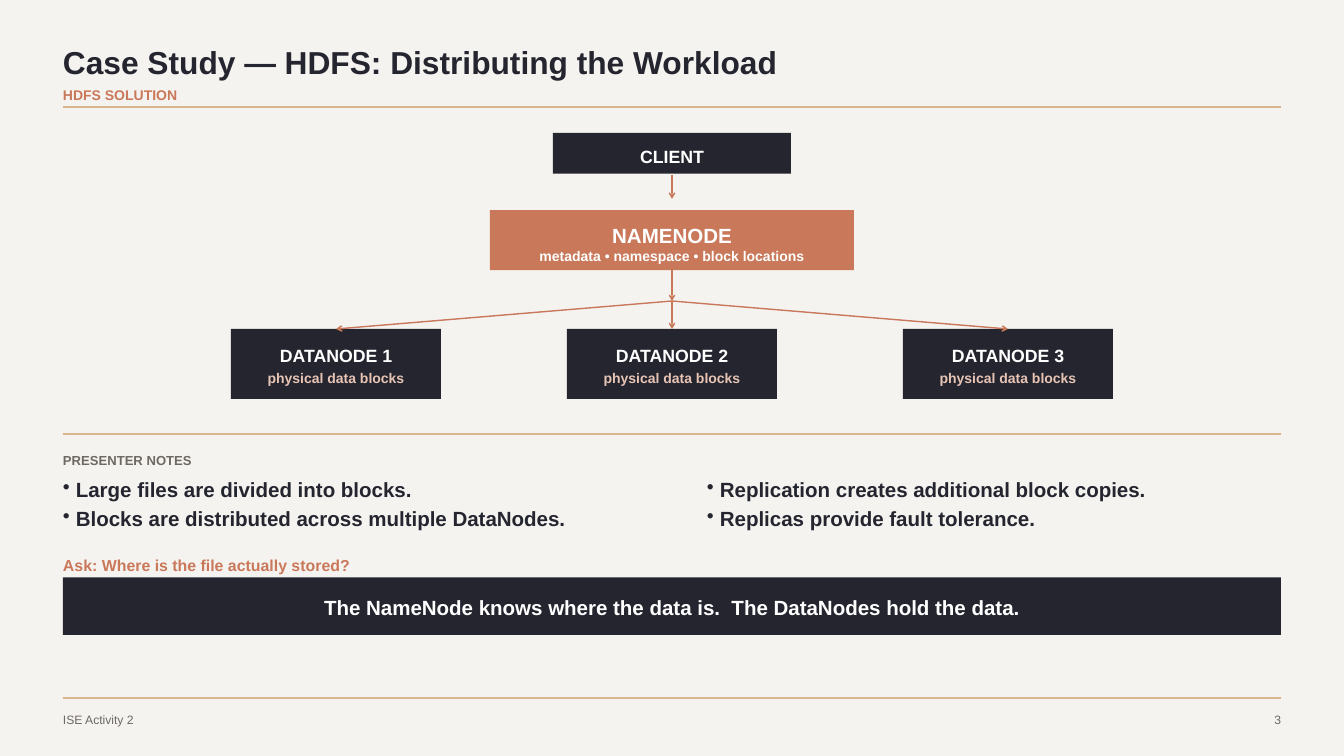
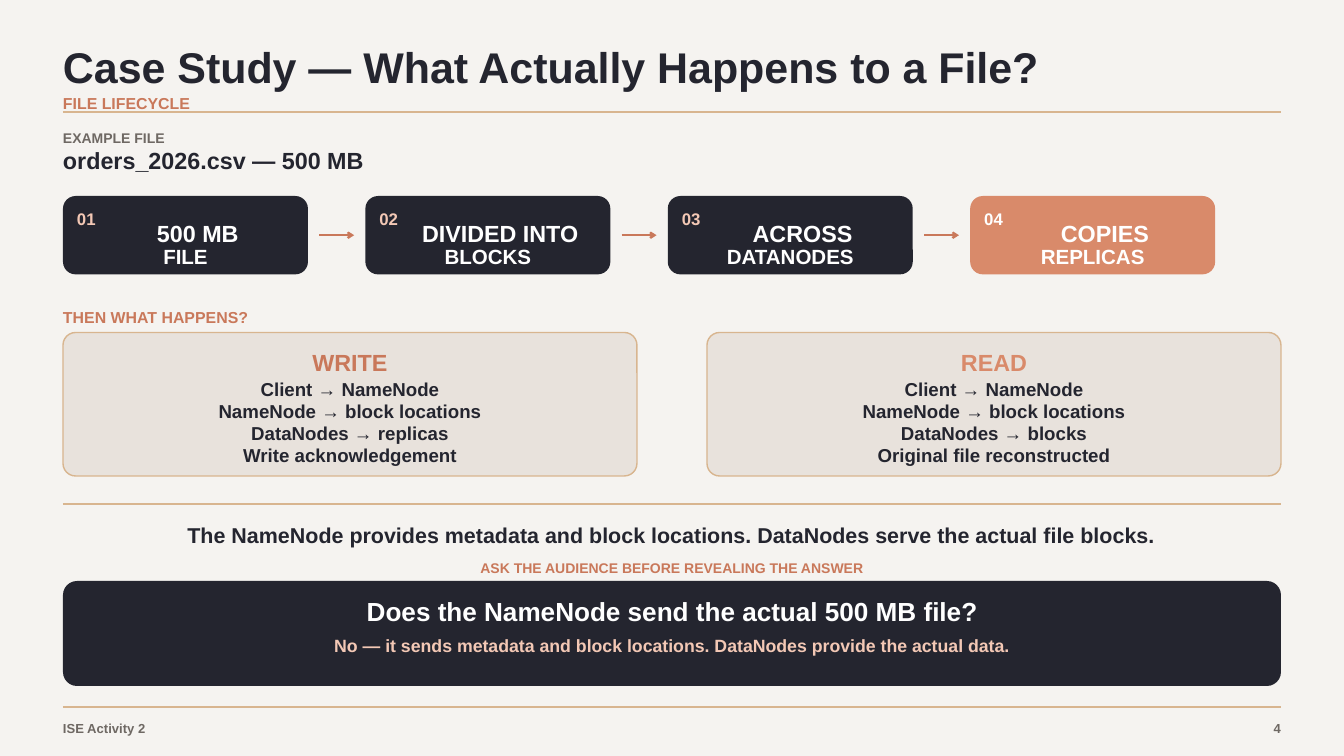
"""Build two case study slides on how HDFS stores a file."""
from dataclasses import dataclass

from lxml import etree
from pptx import Presentation
from pptx.dml.color import RGBColor
from pptx.enum import shapes, text
from pptx.oxml import ns
from pptx.util import Pt

INK, CLAY, CORAL, SAND = "24252F", "C9785A", "D98A6A", "D8B58F"
PAPER, PANEL, GREY, WHITE = "F5F3F0", "E8E2DC", "6E6863", "FFFFFF"
BLUSH, PEACH = "E8C4B5", "F3C8B5"
LEFT, WIDTH, RIGHT_COLUMN = 67.5, 1305, 757.5
RIGHT = LEFT + WIDTH
MIDDLE = LEFT + WIDTH / 2
BULLET_INDENT = 13.8
START, CENTRE, END = text.PP_ALIGN.LEFT, text.PP_ALIGN.CENTER, text.PP_ALIGN.RIGHT
TOP_SIDE, BOTTOM_SIDE = 0, 2


@dataclass
class Words:
    """Text of one style in one place."""
    wording: str
    left: float
    top: float
    width: float
    size: float
    colour: str = INK
    align: text.PP_ALIGN = START
    bold: bool = True
    bullets: bool = False


@dataclass
class Block:
    """A filled rectangle, rounded when it has a radius."""
    left: float
    top: float
    width: float
    height: float
    fill: str = INK
    radius: float = 0
    outline: str = ""


@dataclass
class Frame:
    """The heading and footer of one slide."""
    title: str
    title_top: float
    title_size: float
    section: str
    section_top: float
    section_size: float
    head_rule: float
    foot_rule: float
    foot_top: float
    foot_size: float
    foot_bold: bool
    number: str


@dataclass
class Step:
    """One stage of the file's life."""
    number: str
    head: str
    tail: str
    fill: str = INK
    number_colour: str = PEACH


@dataclass
class Operation:
    """The path of a write or a read."""
    left: float
    name: str
    colour: str
    stages: tuple[str, ...]


def rgb(colour: str) -> RGBColor:
    """Turn a hex string into a colour."""
    return RGBColor.from_string(colour)


def write(slide, words: Words) -> None:
    """Draw a text box, one paragraph for each line."""
    lines = words.wording.split("\n")
    box = slide.shapes.add_textbox(Pt(words.left), Pt(words.top), Pt(words.width),
                                   Pt(words.size * 1.34 * len(lines)))
    frame = box.text_frame
    frame.word_wrap = True
    frame.auto_size = text.MSO_AUTO_SIZE.SHAPE_TO_FIT_TEXT
    frame.margin_left = frame.margin_top = frame.margin_right = frame.margin_bottom = 0
    frame.text = words.wording
    for paragraph in frame.paragraphs:
        if words.bullets:
            add_bullet(paragraph)
        paragraph.alignment = words.align
        paragraph.line_spacing = Pt(words.size * 1.4)
        font = paragraph.font
        font.name, font.size, font.bold = "Arial", Pt(words.size), words.bold
        font.color.rgb = rgb(words.colour)


def add_bullet(paragraph) -> None:
    """Give a paragraph a round bullet and a hanging indent."""
    properties = paragraph._p.get_or_add_pPr()
    properties.set("marL", str(Pt(BULLET_INDENT)))
    properties.set("indent", str(-Pt(BULLET_INDENT)))
    etree.SubElement(properties, ns.qn("a:buChar"), char="•")


def draw(slide, block: Block):
    """Draw a block and return its shape."""
    kind = shapes.MSO_SHAPE.ROUNDED_RECTANGLE if block.radius else shapes.MSO_SHAPE.RECTANGLE
    shape = slide.shapes.add_shape(kind, Pt(block.left), Pt(block.top),
                                   Pt(block.width), Pt(block.height))
    shape.shadow.inherit = False
    shape.fill.solid()
    shape.fill.fore_color.rgb = rgb(block.fill)
    if block.radius:
        shape.adjustments[0] = block.radius / min(block.width, block.height)
    if block.outline:
        shape.line.color.rgb = rgb(block.outline)
        shape.line.width = Pt(1.5)
    else:
        shape.line.fill.background()
    return shape


def connect(slide, start: tuple[float, float], end: tuple[float, float],
            colour: str = CLAY, weight: float = 1.5, arrow: bool = True):
    """Draw a straight line, with an arrowhead at its end if wanted."""
    line = slide.shapes.add_connector(shapes.MSO_CONNECTOR.STRAIGHT,
                                      *(Pt(length) for length in (*start, *end)))
    line.line.color.rgb = rgb(colour)
    line.line.width = Pt(weight)
    if arrow:
        etree.SubElement(line.line._get_or_add_ln(), ns.qn("a:tailEnd"), type="arrow")
    etree.SubElement(line._element.spPr, ns.qn("a:effectLst"))
    return line


def rule(slide, top: float) -> None:
    """Draw a sand line across the content width."""
    connect(slide, (LEFT, top), (RIGHT, top), SAND, arrow=False)


def add_framed_slide(deck, frame: Frame):
    """Add a slide with its background, heading and footer."""
    slide = deck.slides.add_slide(deck.slide_layouts[6])
    slide.background.fill.solid()
    slide.background.fill.fore_color.rgb = rgb(PAPER)
    write(slide, Words(frame.title, LEFT, frame.title_top, 1237.5, frame.title_size))
    write(slide, Words(frame.section, LEFT, frame.section_top, 262.5, frame.section_size, CLAY))
    rule(slide, frame.head_rule)
    rule(slide, frame.foot_rule)
    write(slide, Words("ISE Activity 2", LEFT, frame.foot_top, 187.5, frame.foot_size,
                       GREY, bold=frame.foot_bold))
    write(slide, Words(frame.number, RIGHT - 30, frame.foot_top, 30, frame.foot_size,
                       GREY, END, frame.foot_bold))
    return slide


def build_workload(deck) -> None:
    """Build the slide on the NameNode and its DataNodes."""
    slide = add_framed_slide(deck, Frame(
        "Case Study — HDFS: Distributing the Workload", 39, 34, "HDFS SOLUTION", 89.25, 15,
        114.5, 748, 761, 13, False, "3"))

    draw(slide, Block(592.5, 142.5, 255, 43.5))
    write(slide, Words("CLIENT", 592.5, 152.5, 255, 19, WHITE, CENTRE))
    connect(slide, (MIDDLE, 187.5), (MIDDLE, 213))

    namenode = draw(slide, Block(525, 225, 390, 64.5, CLAY))
    write(slide, Words("NAMENODE", 525, 234, 390, 22, WHITE, CENTRE))
    write(slide, Words("metadata • namespace • block locations", 525, 262, 390, 15,
                       WHITE, CENTRE))
    fork = (MIDDLE, 322.5)
    connect(slide, (MIDDLE, 289.5), fork).begin_connect(namenode, BOTTOM_SIDE)

    for index in range(3):
        left, top, width = 247.5 + 360 * index, 352.5, 225
        datanode = draw(slide, Block(left, top, width, 75))
        write(slide, Words(f"DATANODE {index + 1}", left, 366, width, 19, WHITE, CENTRE))
        write(slide, Words("physical data blocks", left, 393, width, 15, BLUSH, CENTRE))
        connect(slide, fork, (left + width / 2, top)).end_connect(datanode, TOP_SIDE)

    rule(slide, 465)
    write(slide, Words("PRESENTER NOTES", LEFT, 481.5, 225, 14, GREY))
    points = {
        LEFT: "Large files are divided into blocks.\n"
              "Blocks are distributed across multiple DataNodes.",
        RIGHT_COLUMN: "Replication creates additional block copies.\n"
                      "Replicas provide fault tolerance.",
    }
    for left, wording in points.items():
        write(slide, Words(wording, left, 507, 570, 22, bullets=True))
    write(slide, Words("Ask: Where is the file actually stored?", LEFT, 592, 525, 17, CLAY))
    draw(slide, Block(LEFT, 618.75, WIDTH, 61.5))
    write(slide, Words("The NameNode knows where the data is.  The DataNodes hold the data.",
                       91.5, 633, 1257, 22, WHITE, CENTRE))


def build_lifecycle(deck) -> None:
    """Build the slide on the life of one file."""
    slide = add_framed_slide(deck, Frame(
        "Case Study — What Actually Happens to a File?", 34, 46, "FILE LIFECYCLE", 96.5, 17,
        120, 757.5, 769, 14, True, "4"))
    write(slide, Words("EXAMPLE FILE", LEFT, 136, 210, 15, GREY))
    write(slide, Words("orders_2026.csv — 500 MB", LEFT, 152, 525, 25))

    steps = [
        Step("01", "500 MB", "FILE"),
        Step("02", "DIVIDED INTO", "BLOCKS"),
        Step("03", "ACROSS", "DATANODES"),
        Step("04", "COPIES", "REPLICAS", CORAL, WHITE),
    ]
    for index, step in enumerate(steps):
        left = LEFT + 324 * index
        if index:
            connect(slide, (left - 49.5, 252), (left - 12, 252), weight=2.25)
        draw(slide, Block(left, 210, 262.5, 84, step.fill, 13.5))
        write(slide, Words(step.number, left + 15, 220.5, 37.5, 18, step.number_colour))
        write(slide, Words(step.head, left + 41.25, 229.5, 206.25, 25, WHITE, CENTRE))
        write(slide, Words(step.tail, left + 26.25, 256.5, 210, 22, WHITE, CENTRE))

    write(slide, Words("THEN WHAT HAPPENS?", LEFT, 326, 375, 17, CLAY))
    opening = ("Client → NameNode", "NameNode → block locations")
    operations = [
        Operation(LEFT, "WRITE", CLAY,
                  (*opening, "DataNodes → replicas", "Write acknowledgement")),
        Operation(RIGHT_COLUMN, "READ", CORAL,
                  (*opening, "DataNodes → blocks", "Original file reconstructed")),
    ]
    for operation in operations:
        left = operation.left
        draw(slide, Block(left, 356.25, 615, 153.75, PANEL, 13.5, SAND))
        write(slide, Words(operation.name, left, 368.5, 615, 25, operation.colour, CENTRE))
        for row, stage in enumerate(operation.stages):
            write(slide, Words(stage, left + 41.25, 401.25 + 23.25 * row, 532.5, 20,
                               align=CENTRE))

    rule(slide, 540)
    write(slide, Words("The NameNode provides metadata and block locations. "
                       "DataNodes serve the actual file blocks.",
                       LEFT, 555, WIDTH, 23, align=CENTRE))
    write(slide, Words("ASK THE AUDIENCE BEFORE REVEALING THE ANSWER",
                       LEFT, 596, WIDTH, 15, CLAY, CENTRE))
    draw(slide, Block(LEFT, 622.5, WIDTH, 112.5, INK, 15))
    write(slide, Words("Does the NameNode send the actual 500 MB file?",
                       105, 632, 1230, 28, WHITE, CENTRE))
    write(slide, Words("No — it sends metadata and block locations. "
                       "DataNodes provide the actual data.",
                       105, 676, 1230, 19, PEACH, CENTRE))


def main() -> None:
    """Build and save the deck."""
    deck = Presentation()
    deck.slide_width, deck.slide_height = Pt(1440), Pt(810)
    build_workload(deck)
    build_lifecycle(deck)
    deck.save("out.pptx")


if __name__ == "__main__":
    main()
